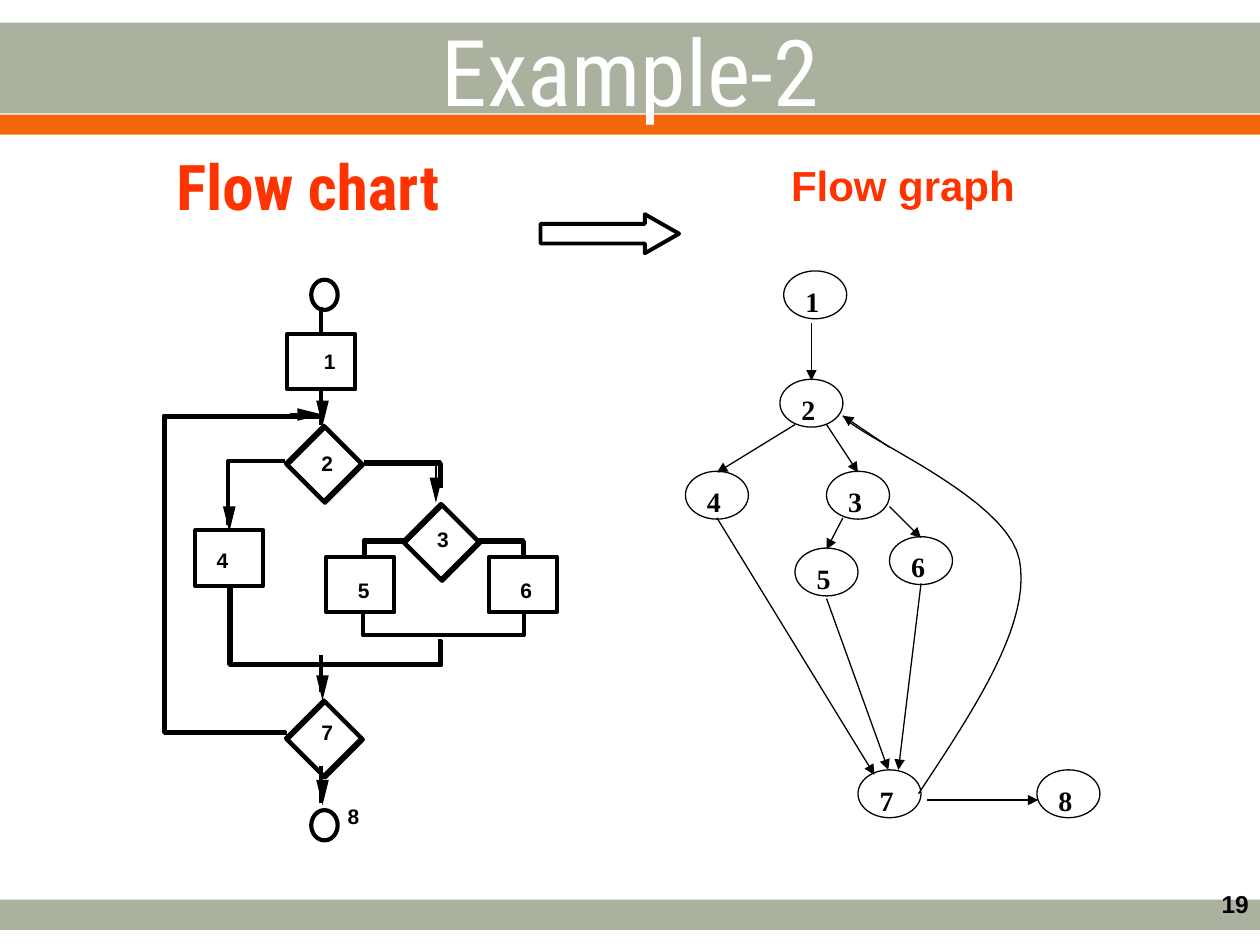
from dataclasses import dataclass

from lxml import etree
from pptx import Presentation
from pptx.dml.color import RGBColor
from pptx.enum.shapes import MSO_CONNECTOR, MSO_SHAPE
from pptx.enum.text import MSO_ANCHOR, MSO_AUTO_SIZE, PP_ALIGN
from pptx.oxml.ns import qn
from pptx.util import Inches, Pt

RECT, OVAL, DIAMOND = MSO_SHAPE.RECTANGLE, MSO_SHAPE.OVAL, MSO_SHAPE.DIAMOND
BLOCK_ARROW = MSO_SHAPE.RIGHT_ARROW
STRAIGHT = MSO_CONNECTOR.STRAIGHT
TOP, MIDDLE = MSO_ANCHOR.TOP, MSO_ANCHOR.MIDDLE
LEFT, CENTER, RIGHT = PP_ALIGN.LEFT, PP_ALIGN.CENTER, PP_ALIGN.RIGHT
FIT_SHAPE, NO_FIT = MSO_AUTO_SIZE.SHAPE_TO_FIT_TEXT, MSO_AUTO_SIZE.NONE


@dataclass(frozen=True)
class Theme:
    """Colours, fonts, type sizes and line widths of the slide."""
    sage = RGBColor(0xAB, 0xB1, 0x9F)
    orange = RGBColor(0xF4, 0x68, 0x0B)
    red = RGBColor(0xFF, 0x33, 0x00)
    white = RGBColor(0xFF, 0xFF, 0xFF)
    black = RGBColor(0, 0, 0)
    display, sans, serif = "Roboto Condensed", "Arial", "Times New Roman"
    banner, heading, subheading = 52.6, 36, 24
    node, page, label = 16, 14, 12
    thin, stem, arrow, thick = 0.75, 1.38, 2.25, 2.38


theme = Theme()


def paint(shape, fill=None, width=None):
    """Set fill and black outline of a shape; None leaves either out."""
    shape.shadow.inherit = False
    if fill is None:
        shape.fill.background()
    else:
        shape.fill.solid()
        shape.fill.fore_color.rgb = fill
    if width is None:
        shape.line.fill.background()
    else:
        shape.line.color.rgb = theme.black
        shape.line.width = Pt(width)


def write(frame, text, font, size, color, bold=True, align=LEFT, anchor=TOP):
    """Write one formatted run into a text frame."""
    frame.vertical_anchor = anchor
    paragraph = frame.paragraphs[0]
    paragraph.alignment = align
    run = paragraph.add_run()
    run.text = text
    run.font.name, run.font.size, run.font.bold = font, Pt(size), bold
    run.font.color.rgb = color


prs = Presentation()
prs.slide_width, prs.slide_height = Inches(10), Inches(7.5)
slide = prs.slides.add_slide(prs.slide_layouts[5])
shapes = slide.shapes

# Bands across the slide
for top, height, color in [(7.14, 0.24, theme.sage), (0.18, 0.72, theme.sage),
                           (0.91, 0.16, theme.orange)]:
    band = shapes.add_shape(RECT, 0, Inches(top), prs.slide_width, Inches(height))
    paint(band, color)

# Headings and page number
heading = shapes.title
heading.left, heading.top = Inches(1.3), Inches(1.07)
heading.width, heading.height = Inches(3.47), Inches(0.8)
heading.text_frame.auto_size = NO_FIT
write(heading.text_frame, "Flow chart", theme.display, theme.heading, theme.red,
      anchor=MIDDLE)
for box, *wording in [
    ((0, 0.05, 10, 1.01), "Example-2", theme.display, theme.banner, theme.white,
     False, CENTER, MIDDLE),
    ((6.18, 1.07, 2.36, 0.79), "Flow graph", theme.sans, theme.subheading,
     theme.red, True, LEFT, MIDDLE),
    ((7.68, 7.01, 2.33, 0.52), "19", theme.sans, theme.page, theme.black,
     True, RIGHT, TOP),
]:
    caption = shapes.add_textbox(*map(Inches, box))
    caption.text_frame.word_wrap = True
    write(caption.text_frame, *wording)

transition = shapes.add_shape(BLOCK_ARROW, *map(Inches, (4.29, 1.7, 1.1, 0.31)))
transition.adjustments[0], transition.adjustments[1] = 0.5, 0.877
paint(transition, width=theme.arrow)

# Flow graph nodes
graph_nodes = {"1": (6.22, 2.15), "2": (6.19, 3.01), "3": (6.56, 3.74),
               "4": (5.44, 3.74), "5": (6.31, 4.35), "6": (7.06, 4.26),
               "7": (6.81, 6.11), "8": (8.23, 6.11)}
for number, (left, top) in graph_nodes.items():
    node = shapes.add_shape(OVAL, *map(Inches, (left, top, 0.5, 0.38)))
    paint(node, theme.white, theme.thin)
    write(node.text_frame, number, theme.serif, theme.node, theme.black)

# Flow chart decisions and terminals
DOUBLE_STROKE = [(0, theme.white), (-0.01, None)]
for left, top in [(2.28, 3.39), (3.21, 4.01), (2.28, 5.57)]:
    for shift, fill in DOUBLE_STROKE:
        decision = shapes.add_shape(
            DIAMOND, *map(Inches, (left + shift, top + shift, 0.6, 0.6)))
        paint(decision, fill, theme.thick)
for top in (2.22, 6.43):
    terminal = shapes.add_shape(OVAL, *map(Inches, (2.47, top, 0.21, 0.24)))
    paint(terminal, theme.white, theme.thick)

# Straight lines: start, end, width, arrowhead
graph_edges = [
    ((6.44, 2.56), (6.44, 3.02)), ((6.31, 3.37), (5.69, 3.75)),
    ((6.56, 3.37), (6.81, 3.75)), ((6.69, 4.11), (6.56, 4.36)),
    ((6.56, 4.75), (7.05, 6.11)), ((5.69, 4.11), (6.94, 6.15)),
    ((7.36, 6.35), (8.24, 6.35)), ((7.06, 3.55), (6.69, 3.3)),
    ((7.06, 4.02), (7.31, 4.27)), ((7.31, 4.63), (7.13, 6.11))]
chart_stretches = [((2.55, 2.44), (2.55, 3.37)), ((2.55, 5.2), (2.55, 5.49)),
                   ((2.55, 6.08), (2.55, 6.37))]
arrow_stems = [((2.3, 3.29), (2.36, 3.29)), ((3.46, 3.67), (3.46, 3.79)),
               ((1.82, 3.93), (1.82, 4.02))]
for edges, width, has_head in [(graph_edges, theme.thin, True),
                               (chart_stretches, theme.thick, False),
                               (arrow_stems, theme.stem, False)]:
    for start, end in edges:
        edge = shapes.add_connector(STRAIGHT, *map(Inches, start + end))
        edge.line.color.rgb = theme.black
        edge.line.width = Pt(width)
        properties = edge._element.spPr
        if has_head:
            etree.SubElement(properties.find(qn("a:ln")), qn("a:tailEnd"),
                             type="triangle")
        etree.SubElement(properties, qn("a:effectLst"))

# Return edge of the flow graph: two cubic curves, sampled
curves = [((7.29, 6.3), (7.74, 5.62), (8.19, 4.94), (8.09, 4.44)),
          ((8.09, 4.44), (7.99, 3.94), (6.79, 3.46), (6.69, 3.3))]
STEPS = 20
return_edge = [
    tuple((1 - t) ** 3 * a + 3 * (1 - t) ** 2 * t * b + 3 * (1 - t) * t ** 2 * c
          + t ** 3 * d for a, b, c, d in zip(*curve))
    for curve in curves for t in (step / STEPS for step in range(STEPS + 1))]

# Bent wires of the flow chart, most of them struck twice
double_wires = [
    [(2.9, 3.68), (3.5, 3.68), (3.5, 3.87)],
    [(3.8, 4.3), (4.16, 4.3), (4.16, 4.6)],
    [(3.23, 4.3), (2.9, 4.3), (2.9, 4.68)],
    [(2.28, 5.82), (1.31, 5.82), (1.31, 3.31), (2.57, 3.31)],
    [(3.5, 5.08), (3.5, 5.28), (1.83, 5.28), (1.83, 4.63)]]
single_wires = [[(2.26, 3.66), (1.81, 3.66), (1.81, 4.17)],
                [(2.88, 4.87), (2.88, 5.04), (4.16, 5.04), (4.16, 4.87)]]
paths = [(return_edge, None, theme.thin)]
paths += [(wire, None, theme.thick) for wire in single_wires]
paths += [([(x + shift, y + shift) for x, y in wire], None, theme.thick)
          for wire in double_wires for shift, _ in DOUBLE_STROKE]

# Solid arrowheads of the flow chart
HEAD, HALF = 0.2, 0.05
paths.append(([(2.56, 3.29), (2.56 - HEAD, 3.29 + HALF), (2.56 - HEAD, 3.29 - HALF)],
              theme.black, None))
for x, y in [(3.46, 3.99), (1.82, 4.22), (2.56, 5.56), (2.56, 3.38), (2.56, 6.39)]:
    paths.append(([(x, y), (x - HALF, y - HEAD), (x + HALF, y - HEAD)],
                  theme.black, None))

for points, fill, width in paths:
    start, *rest = [tuple(map(Inches, point)) for point in points]
    builder = shapes.build_freeform(*start)
    builder.add_line_segments(rest, close=fill is not None)
    paint(builder.convert_to_shape(), fill, width)

# Flow chart steps and numbers
for left, top in [(2.28, 2.65), (1.55, 4.21), (2.59, 4.42), (3.88, 4.42)]:
    step_box = shapes.add_shape(RECT, *map(Inches, (left, top, 0.54, 0.44)))
    paint(step_box, theme.white, theme.thick)

chart_numbers = {"1": (2.57, 2.79), "2": (2.55, 3.6), "3": (3.47, 4.2),
                 "4": (1.72, 4.37), "5": (2.84, 4.61), "6": (4.13, 4.61),
                 "7": (2.55, 5.73), "8": (2.76, 6.4)}
for number, (left, top) in chart_numbers.items():
    frame = shapes.add_textbox(*map(Inches, (left, top, 0.09, 0.18))).text_frame
    frame.margin_left = frame.margin_right = 0
    frame.margin_top = frame.margin_bottom = 0
    frame.word_wrap, frame.auto_size = False, FIT_SHAPE
    write(frame, number, theme.sans, theme.label, theme.black)
    frame.paragraphs[0].line_spacing = 0.9

prs.save("out.pptx")
